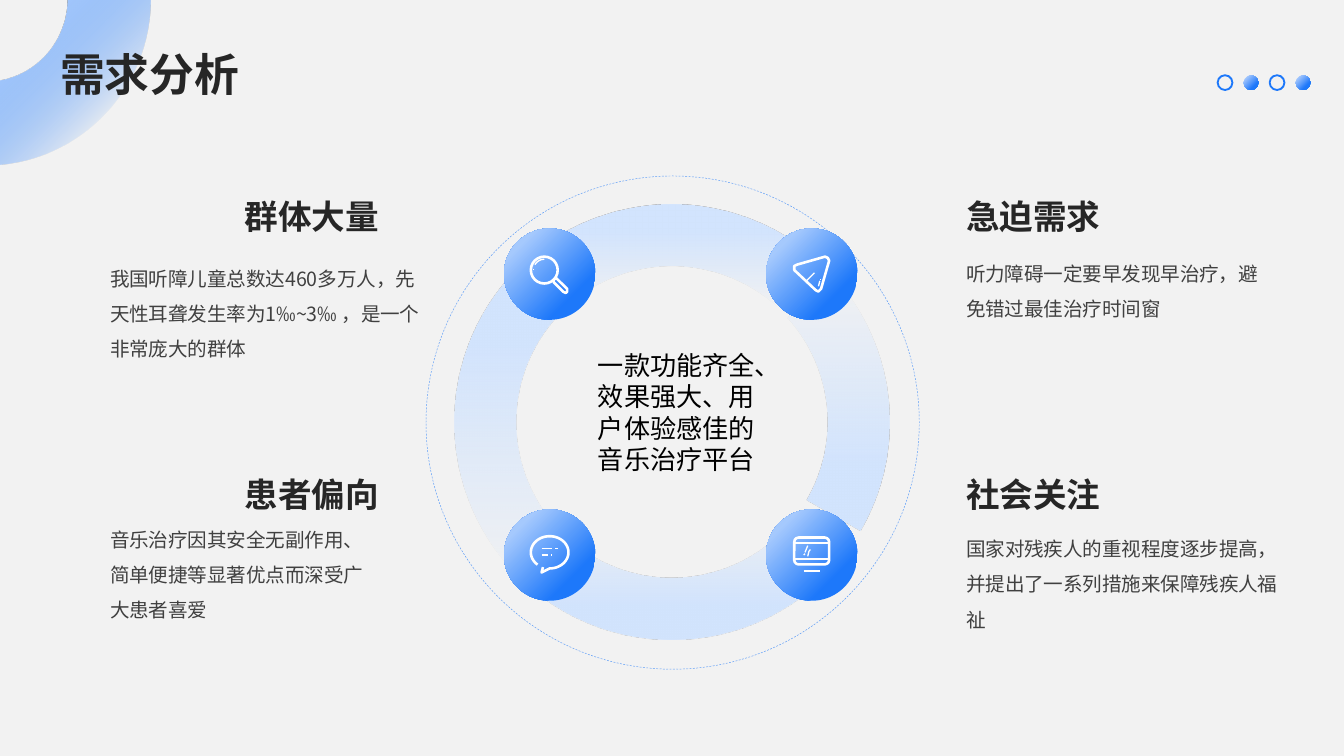
"""Build the needs analysis slide with a ring of four icons."""
from math import acos, cos, degrees, radians, sin

from lxml import etree
from pptx import Presentation
from pptx.dml.color import RGBColor
from pptx.enum.dml import MSO_LINE
from pptx.enum.shapes import MSO_CONNECTOR, MSO_SHAPE
from pptx.enum.text import MSO_AUTO_SIZE, PP_ALIGN
from pptx.oxml import parse_xml
from pptx.oxml.ns import qn
from pptx.util import Inches, Pt

OVAL, ROUND = MSO_SHAPE.OVAL, MSO_SHAPE.ROUNDED_RECTANGLE
LINE, DASH = MSO_CONNECTOR.STRAIGHT, MSO_LINE.DASH
LEFT, RIGHT = PP_ALIGN.LEFT, PP_ALIGN.RIGHT
GROW = MSO_AUTO_SIZE.SHAPE_TO_FIT_TEXT
PAPER = RGBColor(0xF2, 0xF2, 0xF2)
BLUE = RGBColor(0x1D, 0x78, 0xFA)
SKY = RGBColor(0xA5, 0xC9, 0xFD)
PALE = RGBColor(0xD2, 0xE4, 0xFE)
WHITE = RGBColor(0xFF, 0xFF, 0xFF)
BLACK = RGBColor(0, 0, 0)
DARK = RGBColor(0x26, 0x26, 0x26)
GRAY = RGBColor(0x40, 0x40, 0x40)
SANS, LATIN = "Noto Sans CJK SC", "Calibri"
DRAWING = "http://schemas.openxmlformats.org/drawingml/2006/main"

TITLE = "需求分析"
CORE = "一款功能齐全、效果强大、用户体验感佳的音乐治疗平台"
NEEDS = [
    ("群体大量", 1.71, 1.41, RIGHT, (0.72, 1.85, 2.58, 0.86),
     "我国听障儿童总数达460多万人，先天性耳聋发生率为1‰~3‰ ，是一个非常庞大的群体"),
    ("患者偏向", 1.71, 3.48, RIGHT, (0.72, 3.79, 2.21, 0.86),
     "音乐治疗因其安全无副作用、简单便捷等显著优点而深受广大患者喜爱"),
    ("急迫需求", 7.09, 1.41, LEFT, (7.09, 1.81, 2.47, 0.6),
     "听力障碍一定要早发现早治疗，避免错过最佳治疗时间窗"),
    ("社会关注", 7.09, 3.48, LEFT, (7.09, 3.86, 2.65, 0.86),
     "国家对残疾人的重视程度逐步提高，并提出了一系列措施来保障残疾人福祉"),
]
MID = (5, 3.14)
BANDS = [(-42, 30, 90), (234, 313, 270), (33, 128, 90), (131, 229, 270)]
DISCS = [(x, y) for y in (1.7, 3.79) for x in (3.75, 5.7)]
FRAMES = [(OVAL, (3.95, 1.91, 0.2, 0.2)), (ROUND, (5.91, 4, 0.26, 0.2))]
LOOPS = [
    [(4.14, 2.07), (4.22, 2.15), (4.22, 2.17), (4.21, 2.18), (4.19, 2.17),
     (4.12, 2.1), (4.12, 2.08)],
    [(5.91, 1.98), (5.93, 1.97), (6.14, 1.91), (6.16, 1.92), (6.17, 1.94),
     (6.11, 2.15), (6.09, 2.17), (6.07, 2.16), (5.91, 2.01)],
]
STROKES = [
    ((3.97, 2), (3.97, 2.01)),
    ((6, 2.09), (6.06, 2.03)), ((6.09, 2.13), (6.1, 2.09)),
    ((6.1, 2.08), (6.11, 2.08)),
    ((4.03, 4.08), (4.11, 4.08)), ((4.13, 4.08), (4.15, 4.08)),
    ((4.03, 4.13), (4.08, 4.13)), ((4.1, 4.13), (4.11, 4.13)),
    ((5.91, 4.04), (6.17, 4.04)), ((5.91, 4.16), (6.17, 4.16)),
    ((5.99, 4.11), (6.01, 4.06)), ((6.01, 4.14), (6.02, 4.1)),
    ((6.02, 4.1), (6.03, 4.09)), ((5.98, 4.13), (5.99, 4.12)),
]
FOOT = ((5.98, 4.25), (6.1, 4.25))


def arc(x, y, wide, high, start, end, steps=48):
    turns = [radians(start + (end - start) * i / steps) for i in range(steps + 1)]
    return [(x + wide * cos(t), y + high * sin(t)) for t in turns]


def band(x, y, outer, inner):
    return arc(x, y, outer[0], outer[0], *outer[1:]) + arc(
        x, y, inner[0], inner[0], inner[2], inner[1])


def outline(points, closed=True):
    spots = [(Inches(x), Inches(y)) for x, y in points]
    pen = shapes.build_freeform(*spots[0])
    pen.add_line_segments(spots[1:], close=closed)
    return plain(pen.convert_to_shape())


def plain(shape):
    shape.shadow.inherit = False
    shape.fill.background()
    shape.line.fill.background()
    return shape


def preset(kind, box):
    return plain(shapes.add_shape(kind, *map(Inches, box)))


def ink(shape, color, width):
    shape.line.color.rgb = color
    shape.line.width = Pt(width)


def shade(shape, stops, angle=None):
    marks = "".join(
        f'<a:gs pos="{pos * 1000}"><a:srgbClr val="{color}">'
        f'<a:alpha val="{alpha * 1000}"/></a:srgbClr></a:gs>'
        for pos, color, alpha in stops)
    if angle is None:
        way = '<a:path path="circle"><a:fillToRect r="100000" b="100000"/></a:path>'
    else:
        way = f'<a:lin ang="{angle * 60000}" scaled="0"/>'
    fill = parse_xml(f'<a:gradFill xmlns:a="{DRAWING}" rotWithShape="1">'
                     f'<a:gsLst>{marks}</a:gsLst>{way}</a:gradFill>')
    shape.fill.solid()
    props = shape._element.spPr
    props.replace(props.find(qn("a:solidFill")), fill)


def stroke(ends, width):
    (x, y), (right, low) = ends
    line = shapes.add_connector(LINE, *map(Inches, (x, y, right, low)))
    ink(line, WHITE, width)
    etree.SubElement(line._element.spPr, qn("a:effectLst"))


def write(box, text, size, color, bold=False, align=LEFT, wrap=True,
          space=None, face=SANS):
    frame = shapes.add_textbox(*map(Inches, box)).text_frame
    frame.text = text
    frame.word_wrap = wrap
    frame.auto_size = GROW
    para = frame.paragraphs[0]
    para.alignment = align
    if space:
        para.line_spacing = space
    run = para.runs[0]
    run.font.size, run.font.bold, run.font.name = Pt(size), bold, face
    run.font.color.rgb = color
    if face == SANS:
        etree.SubElement(run._r.get_or_add_rPr(), qn("a:ea")).set("typeface", face)


deck = Presentation()
deck.slide_width, deck.slide_height = Inches(10), Inches(10 * 9 / 16)
slide = deck.slides.add_slide(deck.slide_layouts[6])
slide.background.fill.solid()
slide.background.fill.fore_color.rgb = PAPER
shapes = slide.shapes
GLOW = [(18, SKY, 100), (75, BLUE, 100)]

for start, end, angle in BANDS:
    part = outline(band(*MID, (1.62, start, end), (1.16, start, end)))
    shade(part, [(0, PALE, 0), (75, PALE, 100)], angle)

orbit = preset(OVAL, (3.17, 1.31, 3.67, 3.67))
ink(orbit, BLUE, 0.25)
orbit.line.dash_style = DASH
tint = orbit.line._ln.find(".//" + qn("a:srgbClr"))
etree.SubElement(tint, qn("a:alpha")).set("val", "70000")
for x, y in DISCS:
    shade(preset(OVAL, (x, y, 0.68, 0.68)), GLOW)

for head, x, y, align, box, body in NEEDS:
    write((x, y, 1.21, 0.4), head, 18, DARK, True, align, False)
    write(box, body, 10.5, GRAY, space=1.5)

shift = 0.11
sides = [(r, 0, degrees(acos(shift / r))) for r in (1.23, 0.61)]
corner = outline(band(-shift, 0, *sides))
shade(corner, [(18, SKY, 100), (75, BLUE, 0)], 45)
write((0.35, 0.3, 3.46, 0.5), TITLE, 24, DARK, True)

for i in range(4):
    dot = preset(OVAL, (9.06 + i * 0.58 / 3, 0.56, 0.11, 0.11))
    if i % 2:
        shade(dot, GLOW, 45)
    else:
        ink(dot, BLUE, 1)

for kind, box in FRAMES:
    ink(preset(kind, box), WHITE, 1.4)
for loop in LOOPS:
    ink(outline(loop), WHITE, 1.4)
bubble = arc(4.09, 4.11, 0.14, 0.12, 130, 450) + [(4.03, 4.26), (4.04, 4.22)]
ink(outline(bubble, False), WHITE, 1.4)
ink(outline(arc(4.05, 2.01, 0.08, 0.08, 210, 270), False), WHITE, 0.7)
for ends in STROKES:
    stroke(ends, 0.7)
stroke(FOOT, 1.4)

write((4.35, 2.55, 1.42, 1.35), CORE, 14, BLACK, face=LATIN)
deck.save("out.pptx")
